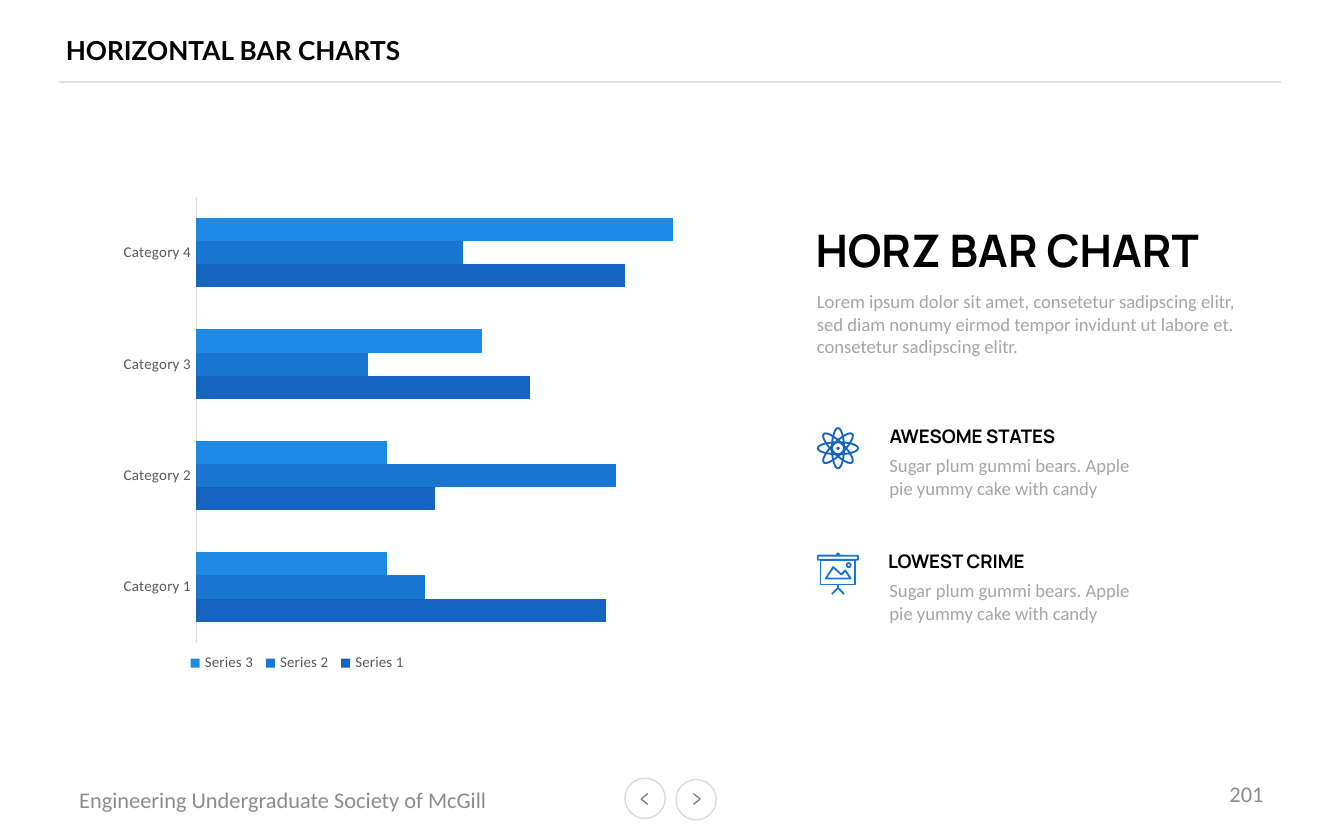
from typing import NamedTuple

from lxml import etree
from pptx import Presentation
from pptx.chart.data import CategoryChartData
from pptx.dml.color import RGBColor
from pptx.enum.chart import XL_CHART_TYPE, XL_LEGEND_POSITION, XL_TICK_MARK
from pptx.enum.shapes import MSO_CONNECTOR, MSO_SHAPE
from pptx.enum.text import MSO_ANCHOR, MSO_AUTO_SIZE, PP_ALIGN
from pptx.oxml.ns import qn
from pptx.util import Emu, Pt

PX = 4572  # 200 px to the inch
OVAL = MSO_SHAPE.OVAL
RECTANGLE = MSO_SHAPE.RECTANGLE
ROUNDED = MSO_SHAPE.ROUNDED_RECTANGLE
STRAIGHT = MSO_CONNECTOR.STRAIGHT
MIDDLE = MSO_ANCHOR.MIDDLE
TOP = MSO_ANCHOR.TOP
LEFT = PP_ALIGN.LEFT
RIGHT = PP_ALIGN.RIGHT

WHITE = RGBColor(0xFF, 0xFF, 0xFF)
BLACK = RGBColor(0x00, 0x00, 0x00)
RULE_GRAY = RGBColor(0xE0, 0xE0, 0xE0)
OUTLINE_GRAY = RGBColor(0xD9, 0xD9, 0xD9)
ARROW_GRAY = RGBColor(0x80, 0x80, 0x80)
FOOTER_GRAY = RGBColor(0x8C, 0x8C, 0x8C)
BODY_GRAY = RGBColor(0xA6, 0xA6, 0xA6)
LABEL_GRAY = RGBColor(0x59, 0x59, 0x59)
DARK_BLUE = RGBColor(0x15, 0x65, 0xC0)
MID_BLUE = RGBColor(0x19, 0x76, 0xD2)
LIGHT_BLUE = RGBColor(0x1E, 0x88, 0xE5)


class Box(NamedTuple):
    left: int
    top: int
    width: int
    height: int

    def emu(self) -> list[Emu]:
        return [Emu(length * PX) for length in self]


class Series(NamedTuple):
    name: str
    values: tuple[int, ...]
    color: RGBColor


class Feature(NamedTuple):
    title: str
    top: int
    title_left: int
    title_width: int


class NavigationButton(NamedTuple):
    circle: Box
    tip: tuple[int, int]
    direction: int


CATEGORIES = [f"Category {number}" for number in range(1, 5)]
SERIES = [
    Series("Series 1", (86, 50, 70, 90), DARK_BLUE),
    Series("Series 2", (48, 88, 36, 56), MID_BLUE),
    Series("Series 3", (40, 40, 60, 100), LIGHT_BLUE),
]
FEATURES = [
    Feature("AWESOME STATES", 622, 1304, 296),
    Feature("LOWEST CRIME", 808, 1302, 252),
]
FEATURE_TEXT = "Sugar plum gummi bears. Apple pie yummy cake with candy"
INTRODUCTION = (
    "Lorem ipsum dolor sit amet, consetetur sadipscing elitr, sed diam nonumy "
    "eirmod tempor invidunt ut labore et. consetetur sadipscing elitr."
)
BUTTONS = [
    NavigationButton(Box(930, 1158, 60, 60), (954, 1189), 1),
    NavigationButton(Box(1006, 1160, 60, 60), (1042, 1189), -1),
]


def add_text(slide, box: Box, text: str, *, size=10, font="Calibri", color=BODY_GRAY,
             bold=False, align=LEFT, anchor=TOP, wrap=True, grow=False, inset=True):
    frame = slide.shapes.add_textbox(*box.emu()).text_frame
    frame.word_wrap = wrap
    frame.vertical_anchor = anchor
    if grow:
        frame.auto_size = MSO_AUTO_SIZE.SHAPE_TO_FIT_TEXT
    if not inset:
        frame.margin_left = frame.margin_right = frame.margin_top = frame.margin_bottom = 0
    paragraph = frame.paragraphs[0]
    paragraph.alignment = align
    run = paragraph.add_run()
    run.text = text
    run.font.name = font
    run.font.size = Pt(size)
    run.font.bold = bold
    run.font.color.rgb = color


def style_shape(shape, line_color: RGBColor, width: float, fill: RGBColor | None = None) -> None:
    shape.shadow.inherit = False
    if fill is None:
        shape.fill.background()
    else:
        shape.fill.solid()
        shape.fill.fore_color.rgb = fill
    shape.line.color.rgb = line_color
    shape.line.width = Pt(width)


def add_outline(slide, kind, box: Box, color: RGBColor, *, width=1.0, fill=None, rotation=0) -> None:
    shape = slide.shapes.add_shape(kind, *box.emu())
    style_shape(shape, color, width, fill)
    shape.rotation = rotation


def add_line(slide, start: tuple[int, int], end: tuple[int, int], color: RGBColor, width=0.75) -> None:
    ends = [Emu(length * PX) for length in (*start, *end)]
    line = slide.shapes.add_connector(STRAIGHT, *ends)
    line.line.color.rgb = color
    line.line.width = Pt(width)
    etree.SubElement(line._element.spPr, qn("a:effectLst"))


def add_atom(slide, x: int, y: int) -> None:
    """Draw four crossing orbits and a nucleus around a centre."""
    for rotation in range(0, 180, 45):
        add_outline(slide, OVAL, Box(x - 30, y - 9, 60, 18), DARK_BLUE, rotation=rotation)
    add_outline(slide, OVAL, Box(x - 9, y - 9, 18, 18), DARK_BLUE)
    add_outline(slide, OVAL, Box(x - 2, y - 2, 4, 4), DARK_BLUE, width=0.25, fill=DARK_BLUE)


def add_easel(slide, x: int, top: int) -> None:
    """Draw a presentation board on a stand, centred on x."""
    add_outline(slide, RECTANGLE, Box(x - 26, top + 11, 52, 37), MID_BLUE)
    add_outline(slide, ROUNDED, Box(x - 30, top + 5, 60, 6), MID_BLUE)
    add_outline(slide, OVAL, Box(x - 2, top + 1, 4, 4), MID_BLUE, width=0.5, fill=MID_BLUE)
    add_outline(slide, OVAL, Box(x + 13, top + 16, 6, 6), MID_BLUE)
    add_line(slide, (x, top + 48), (x, top + 53), MID_BLUE, 1)
    for side in (-1, 1):
        add_line(slide, (x, top + 53), (x + 9 * side, top + 62), MID_BLUE, 1)
    builder = slide.shapes.build_freeform(x - 18, top + 39, scale=PX)
    builder.add_line_segments(
        [(x - 7, top + 22), (x + 5, top + 33), (x + 11, top + 27), (x + 19, top + 39)], close=True)
    style_shape(builder.convert_to_shape(), MID_BLUE, 1)


def set_layout(parent, index: int, *, inner=False, **fractions: float) -> None:
    """Place a chart part by fractions (x, y, w, h) of the chart's size."""
    for old_layout in parent.findall(qn("c:layout")):
        parent.remove(old_layout)
    layout = etree.Element(qn("c:layout"))
    manual = etree.SubElement(layout, qn("c:manualLayout"))
    if inner:
        etree.SubElement(manual, qn("c:layoutTarget")).set("val", "inner")
    for axis in "xy":
        etree.SubElement(manual, qn(f"c:{axis}Mode")).set("val", "edge")
    for name, fraction in fractions.items():
        etree.SubElement(manual, qn(f"c:{name}")).set("val", str(fraction))
    parent.insert(index, layout)


def style_font(font, size: int, color: RGBColor) -> None:
    font.name = "Calibri"
    font.size = Pt(size)
    font.color.rgb = color


def add_bar_chart(slide, box: Box) -> None:
    data = CategoryChartData()
    data.categories = CATEGORIES
    for series in SERIES:
        data.add_series(series.name, series.values)
    chart = slide.shapes.add_chart(XL_CHART_TYPE.BAR_CLUSTERED, *box.emu(), data).chart
    style_font(chart.font, 10, BLACK)
    chart.has_title = False
    plot = chart.plots[0]
    plot.gap_width = 182
    plot.vary_by_categories = False
    for drawn, series in zip(plot.series, SERIES):
        drawn.format.fill.solid()
        drawn.format.fill.fore_color.rgb = series.color
    category_axis = chart.category_axis
    category_axis.major_tick_mark = category_axis.minor_tick_mark = XL_TICK_MARK.NONE
    category_axis.format.line.color.rgb = OUTLINE_GRAY
    category_axis.format.line.width = Pt(0.75)
    style_font(category_axis.tick_labels.font, 8, LABEL_GRAY)
    value_axis = chart.value_axis
    value_axis.minimum_scale, value_axis.maximum_scale = 0, 120
    value_axis.has_major_gridlines = False
    value_axis.visible = False
    chart.has_legend = True
    legend = chart.legend
    legend.position = XL_LEGEND_POSITION.BOTTOM
    legend.include_in_layout = False
    style_font(legend.font, 8, LABEL_GRAY)
    set_layout(chart._chartSpace.chart.plotArea, 0, inner=True, x=0.13, y=0.02, w=0.85, h=0.88)
    set_layout(legend._element, 1, x=0.11, y=0.91, w=0.34, h=0.06)


def main() -> None:
    presentation = Presentation()
    presentation.slide_width, presentation.slide_height = Emu(2000 * PX), Emu(1250 * PX)
    slide = presentation.slides.add_slide(presentation.slide_layouts[6])

    add_line(slide, (1906, 122), (88, 122), RULE_GRAY)
    add_text(slide, Box(98, 32, 1334, 86), "HORIZONTAL BAR CHARTS", size=14, font="Lato",
             color=BLACK, bold=True, anchor=MIDDLE, inset=False)
    add_text(slide, Box(98, 1160, 678, 60), "Engineering Undergraduate Society of McGill",
             size=12, color=FOOTER_GRAY, anchor=MIDDLE)
    add_text(slide, Box(1434, 1148, 466, 66), "201", size=12, color=FOOTER_GRAY,
             align=RIGHT, anchor=MIDDLE)
    for button in BUTTONS:
        add_outline(slide, OVAL, button.circle, OUTLINE_GRAY, width=0.75, fill=WHITE)
        x, y = button.tip
        for rise in (-8, 8):
            add_line(slide, button.tip, (x + 10 * button.direction, y + rise), ARROW_GRAY)

    add_bar_chart(slide, Box(162, 278, 1002, 754))
    add_text(slide, Box(1196, 422, 684, 154), INTRODUCTION, grow=True)
    add_text(slide, Box(1194, 322, 622, 100), "HORZ BAR CHART", size=24, font="Manrope",
             color=BLACK, bold=True, wrap=False, grow=True)
    add_atom(slide, 1247, 667)
    add_easel(slide, 1247, 822)
    for feature in FEATURES:
        add_text(slide, Box(1304, feature.top + 44, 428, 88), FEATURE_TEXT, grow=True)
        add_text(slide, Box(feature.title_left, feature.top, feature.title_width, 54), feature.title,
                 font="Manrope", color=BLACK, bold=True, wrap=False, grow=True)
    presentation.save("out.pptx")


if __name__ == "__main__":
    main()
